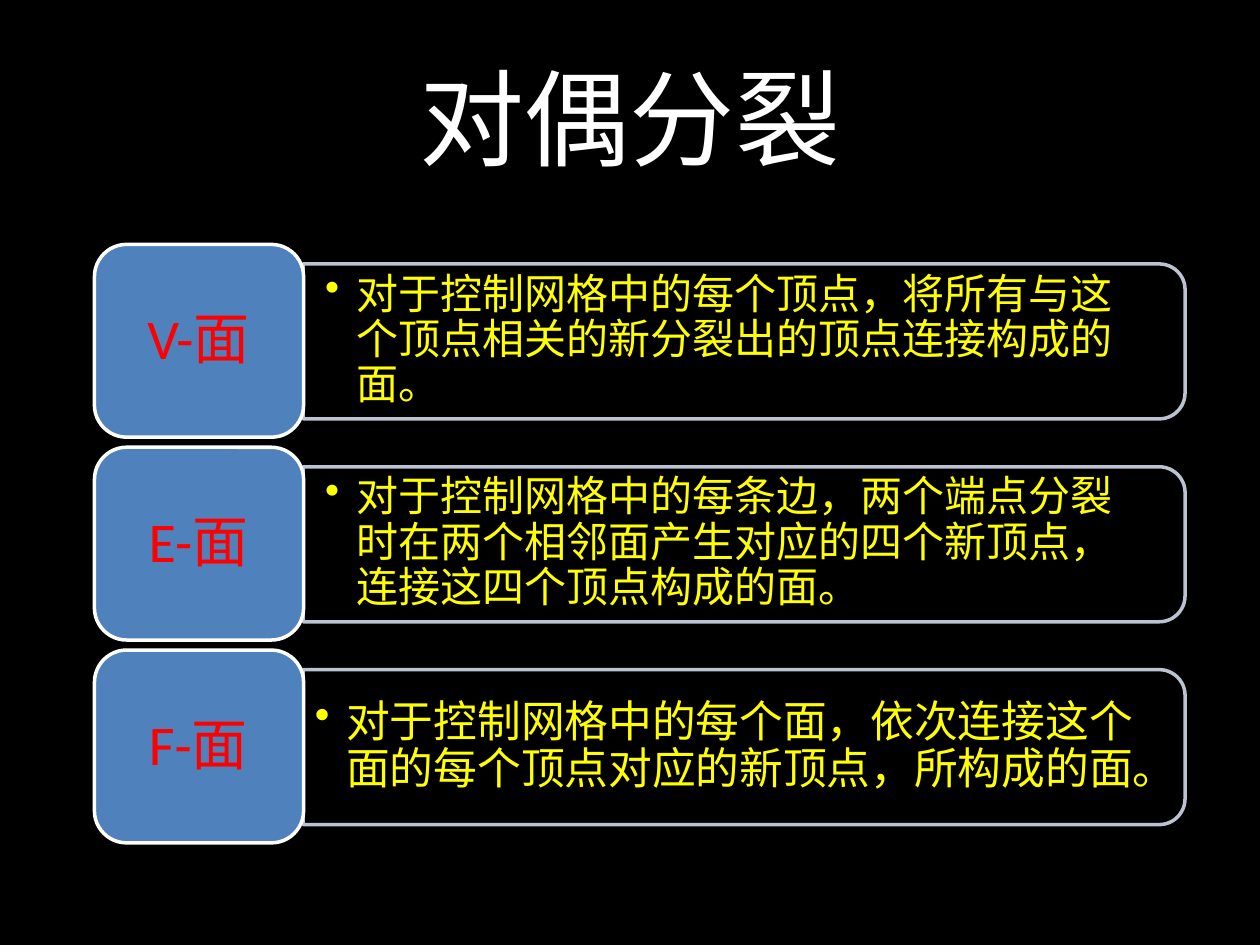
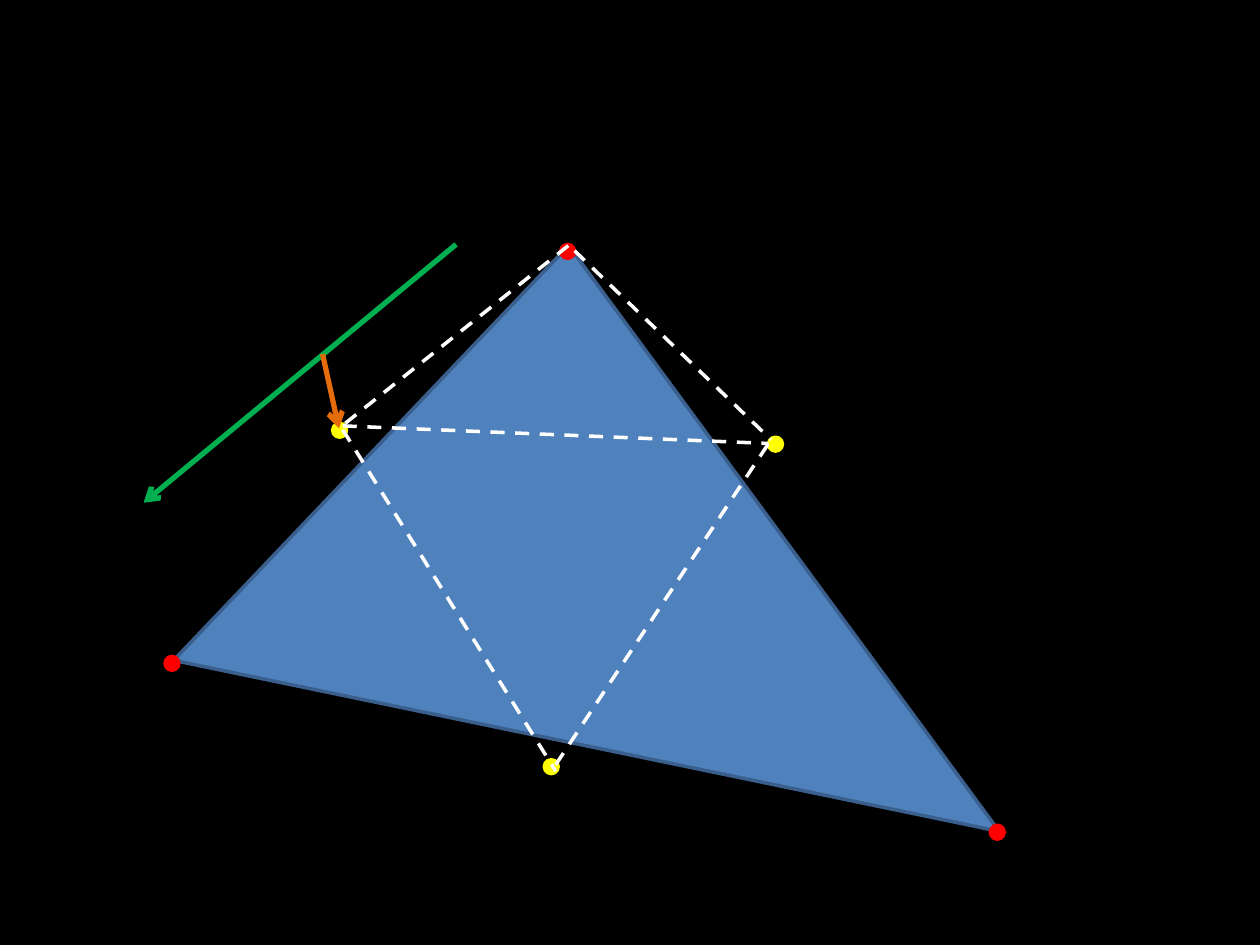
from typing import NamedTuple

from lxml.etree import SubElement
from pptx import Presentation
from pptx.dml.color import RGBColor
from pptx.enum.dml import MSO_LINE
from pptx.enum.shapes import MSO_CONNECTOR, MSO_SHAPE
from pptx.enum.text import MSO_ANCHOR, PP_ALIGN
from pptx.oxml.ns import qn
from pptx.util import Inches, Pt

BLACK, WHITE, BLUE = "000000", "FFFFFF", "4F81BD"
RED, YELLOW, GREEN, ORANGE = "FF0000", "FFFF00", "00B050", "E46C0A"
FRAME, EDGE = "D0D8E8", "3A5F8C"
HAN, LATIN = "Noto Sans CJK SC", "Calibri"


class Box(NamedTuple):
    left: float
    top: float
    width: float
    height: float


class Style(NamedTuple):
    size: float
    colour: str
    font: str = HAN
    inset: float = 0.1
    after: float = 0
    spacing: float = 1
    bullet: bool = False


class Rule(NamedTuple):
    name: str
    text: str
    size: float = 24
    inset: float = 0.18


class Line(NamedTuple):
    start: tuple[float, float]
    end: tuple[float, float]
    colour: str = WHITE
    arrow: bool = False


RULES = [
    Rule("V-面", "对于控制网格中的每个顶点，将所有与这个顶点相关的新分裂出的顶点连接构成的面。"),
    Rule("E-面", "对于控制网格中的每条边，两个端点分裂时在两个相邻面产生对应的四个新顶点，连接这四个顶点构成的面。"),
    Rule("F-面", "对于控制网格中的每个面，依次连接这个面的每个顶点对应的新顶点，所构成的面。", 25, 0.1),
]
ROW_TOP, ROW_STEP = 1.94, 1.61

DOT = 0.11
CORNERS = [(4.45, 1.94), (7.86, 6.55), (1.31, 5.21)]
POINTS = [(2.64, 3.36), (6.1, 3.47), (4.32, 6.03)]
LINES = [
    Line((4.56, 1.99), (6.12, 3.49)),
    Line((2.74, 3.36), (4.51, 1.95)),
    Line((2.72, 3.38), (6.1, 3.52)),
    Line((2.72, 3.41), (4.41, 6.12)),
    Line((4.41, 6.07), (6.1, 3.52)),
    Line((3.62, 1.94), (1.14, 3.99), GREEN, True),
    Line((2.56, 2.81), (2.69, 3.4), ORANGE, True),
]


def paint(code: str) -> RGBColor:
    return RGBColor.from_string(code)


def add_page(deck):
    slide = deck.slides.add_slide(deck.slide_layouts[6])
    slide.background.fill.solid()
    slide.background.fill.fore_color.rgb = paint(BLACK)
    return slide


def add_form(slide, kind, box: Box, fill: str, line: str, turn: float = 0):
    form = slide.shapes.add_shape(kind, *map(Inches, box))
    form.shadow.inherit = False
    form.rotation = turn
    form.fill.solid()
    form.fill.fore_color.rgb = paint(fill)
    form.line.color.rgb = paint(line)
    form.line.width = Pt(2)
    return form


def add_text(slide, box: Box, text: str, style: Style) -> None:
    frame = slide.shapes.add_textbox(*map(Inches, box)).text_frame
    frame.word_wrap = True
    frame.vertical_anchor = MSO_ANCHOR.MIDDLE
    frame.margin_left = frame.margin_right = Inches(style.inset)
    frame.margin_top = frame.margin_bottom = Inches(style.inset / 2)
    frame.text = text
    para = frame.paragraphs[0]
    para.alignment = PP_ALIGN.LEFT if style.bullet else PP_ALIGN.CENTER
    para.line_spacing = style.spacing
    para.space_after = Pt(style.size * style.after)
    if style.bullet:
        props = para._p.get_or_add_pPr()
        props.set("marL", str(Inches(0.25)))
        props.set("indent", str(Inches(-0.25)))
        SubElement(props, qn("a:buChar"), char="•")
    for run in para.runs:
        run.font.size = Pt(style.size)
        run.font.name = style.font
        run.font.color.rgb = paint(style.colour)
        SubElement(run._r.get_or_add_rPr(), qn("a:ea"), typeface=HAN)


def fade(form) -> None:
    """Make the fill and the line 90 % opaque."""
    for tone in form._element.spPr.iter(qn("a:srgbClr")):
        SubElement(tone, qn("a:alpha"), val="90000")


def add_rule(slide, rule: Rule, top: float) -> None:
    # The frame is a tall shape turned on its side around its centre.
    side = Box(5.29, top - 2.73, 1.23, 7)
    fade(add_form(slide, MSO_SHAPE.ROUND_2_SAME_RECTANGLE, side, BLACK, FRAME, 90))
    body = Style(rule.size, YELLOW, HAN, rule.inset, 0.15, 0.9, True)
    add_text(slide, Box(2.4, top + 0.21, 6.92, 1.11), rule.text, body)
    tile = Box(0.75, top, 1.66, 1.53)
    add_form(slide, MSO_SHAPE.ROUNDED_RECTANGLE, tile, BLUE, WHITE)
    label = Style(32, RED, LATIN, 0.13, 0.35, 0.9)
    add_text(slide, Box(0.82, top + 0.08, 1.51, 1.38), rule.name, label)


def add_line(slide, line: Line) -> None:
    ends = map(Inches, line.start + line.end)
    wire = slide.shapes.add_connector(MSO_CONNECTOR.STRAIGHT, *ends)
    wire.line.color.rgb = paint(line.colour)
    wire.line.width = Pt(3 if line.arrow else 2)
    if line.arrow:
        SubElement(wire.line._get_or_add_ln(), qn("a:tailEnd"), type="arrow")
    else:
        wire.line.dash_style = MSO_LINE.DASH
    SubElement(wire._element.spPr, qn("a:effectLst"))


def draw_rules(deck) -> None:
    slide = add_page(deck)
    add_text(slide, Box(0.5, 0.3, 9, 1.25), "对偶分裂", Style(60, WHITE))
    for row, rule in enumerate(RULES):
        add_rule(slide, rule, ROW_TOP + row * ROW_STEP)


def draw_mesh(deck) -> None:
    slide = add_page(deck)
    face = add_form(slide, MSO_SHAPE.ISOSCELES_TRIANGLE,
                    Box(1.7, 2.1, 6.69, 3.86), BLUE, EDGE, 11.7)
    face.adjustments[0] = 0.359
    for spots, colour in ((CORNERS, RED), (POINTS, YELLOW)):
        for left, top in spots:
            add_form(slide, MSO_SHAPE.FLOWCHART_CONNECTOR,
                     Box(left, top, DOT, DOT), colour, colour)
    for line in LINES:
        add_line(slide, line)


def main() -> None:
    deck = Presentation()
    deck.slide_width, deck.slide_height = Inches(10), Inches(7.5)
    draw_rules(deck)
    draw_mesh(deck)
    deck.save("out.pptx")


if __name__ == "__main__":
    main()
